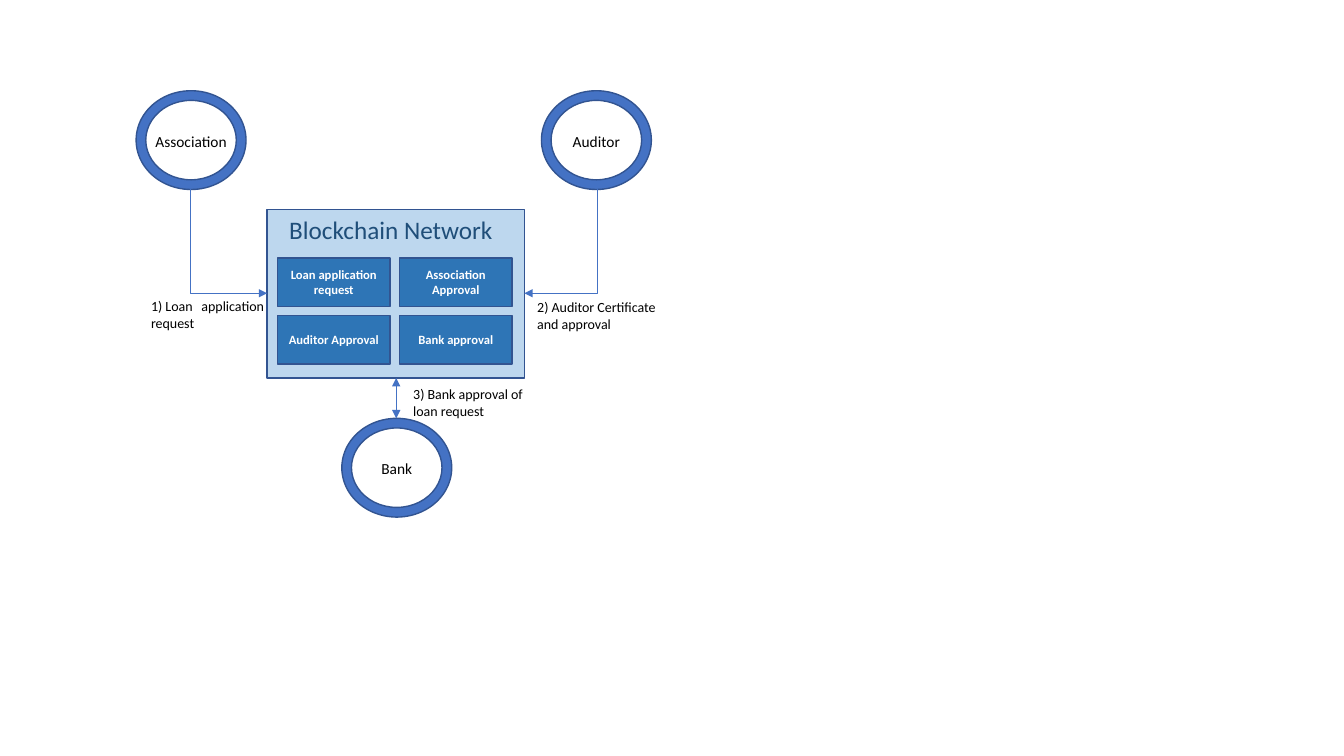
"""Build a slide showing loan approval through a blockchain network."""
from lxml import etree
from pptx import Presentation
from pptx.dml.color import RGBColor
from pptx.enum.shapes import MSO_CONNECTOR, MSO_SHAPE
from pptx.enum.text import MSO_ANCHOR, PP_ALIGN
from pptx.oxml.ns import qn
from pptx.util import Inches, Pt

RECT, DONUT = MSO_SHAPE.RECTANGLE, MSO_SHAPE.DONUT
STRAIGHT, ELBOW = MSO_CONNECTOR.STRAIGHT, MSO_CONNECTOR.ELBOW
LEFT, CENTER = PP_ALIGN.LEFT, PP_ALIGN.CENTER
MIDDLE = MSO_ANCHOR.MIDDLE
PANEL = RGBColor(0xBD, 0xD7, 0xEE)
TITLE = RGBColor(0x1F, 0x4E, 0x79)
BLOCK = RGBColor(0x2E, 0x75, 0xB6)
RING = RGBColor(0x44, 0x72, 0xC4)
OUTLINE = RGBColor(0x32, 0x54, 0x91)
WHITE = RGBColor(0xFF, 0xFF, 0xFF)
BLACK = RGBColor(0x00, 0x00, 0x00)

prs = Presentation()
prs.slide_width, prs.slide_height = Inches(13.33), Inches(7.5)
s = prs.slides.add_slide(prs.slide_layouts[6])


def add_box(kind, x, y, w, h, fill):
    sp = s.shapes.add_shape(kind, Inches(x), Inches(y), Inches(w), Inches(h))
    sp.shadow.inherit = False
    sp.fill.solid()
    sp.fill.fore_color.rgb = fill
    sp.line.color.rgb = OUTLINE
    sp.line.width = Pt(1)
    return sp


def write(sp, text, size, color, align=LEFT, bold=False, wrap=True):
    tf = sp.text_frame
    tf.word_wrap = wrap
    p = tf.paragraphs[0]
    p.text = text
    p.alignment = align
    for r in p.runs:
        r.font.name = "Calibri"
        r.font.size = Pt(size)
        r.font.bold = bold
        r.font.color.rgb = color
    return p


add_box(RECT, 2.65, 2.08, 2.55, 1.67, PANEL)
title = s.shapes.add_textbox(Inches(2.77), Inches(2.08), Inches(2.34), Inches(0.4))
write(title, "Blockchain Network", 18, TITLE)

steps = ["Loan application request", "Association Approval", "Auditor Approval", "Bank approval"]
for i, step in enumerate(steps):
    row, col = divmod(i, 2)
    sp = add_box(RECT, 2.75 + 1.21 * col, 2.56 + 0.57 * row, 1.12, 0.48, BLOCK)
    sp.text_frame.vertical_anchor = MIDDLE
    write(sp, step, 9, WHITE, CENTER, bold=True)

for name, x, y in [("Association", 1.35, 0.9), ("Bank", 3.39, 4.15), ("Auditor", 5.37, 0.9)]:
    ring = add_box(DONUT, x, y, 1.09, 0.98, RING)
    ring.adjustments[0] = 0.098
    label = s.shapes.add_textbox(Inches(x + 0.09), Inches(y + 0.36), Inches(0.91), Inches(0.29))
    write(label, name, 11, BLACK, CENTER, wrap=False)

arrows = [
    (STRAIGHT, 3.93, 3.75, 3.93, 4.15),
    (ELBOW, 1.89, 1.88, 2.65, 2.91),
    (ELBOW, 5.92, 1.88, 5.2, 2.91),
]
for kind, x1, y1, x2, y2 in arrows:
    ends = [x1, y1, x2, y2]
    if kind == ELBOW:
        mid_x, mid_y = (x1 + x2) / 2, (y1 + y2) / 2
        side = 1 if x2 < x1 else -1
        half_w, half_h = side * (y2 - y1) / 2, abs(x2 - x1) / 2
        ends = [mid_x - half_w, mid_y - half_h, mid_x + half_w, mid_y + half_h]
    cn = s.shapes.add_connector(kind, *[Inches(v) for v in ends])
    cn.line.color.rgb = RING
    cn.line.width = Pt(0.5)
    sp_pr = cn._element.spPr
    if kind == ELBOW:
        sp_pr.find(qn("a:xfrm")).set("rot", str((90 if side > 0 else 270) * 60000))
        sp_pr.find(qn("a:prstGeom")).set("prst", "bentConnector2")
    else:
        etree.SubElement(cn.line._get_or_add_ln(), qn("a:headEnd"), type="triangle")
    etree.SubElement(cn.line._get_or_add_ln(), qn("a:tailEnd"), type="triangle")
    etree.SubElement(sp_pr, qn("a:effectLst"))

captions = [
    ("1) Loan\tapplication request", 1.4, 2.9),
    ("2) Auditor Certificate and approval", 5.23, 2.91),
    ("3) Bank approval of loan request", 4, 3.78),
]
for text, x, y in captions:
    caption = s.shapes.add_textbox(Inches(x), Inches(y), Inches(1.4), Inches(0.44))
    p = write(caption, text, 10, BLACK)
    if "\t" in text:
        tabs = etree.SubElement(p._p.get_or_add_pPr(), qn("a:tabLst"))
        etree.SubElement(tabs, qn("a:tab"), pos=str(Inches(0.5)), algn="l")

prs.save("out.pptx")
